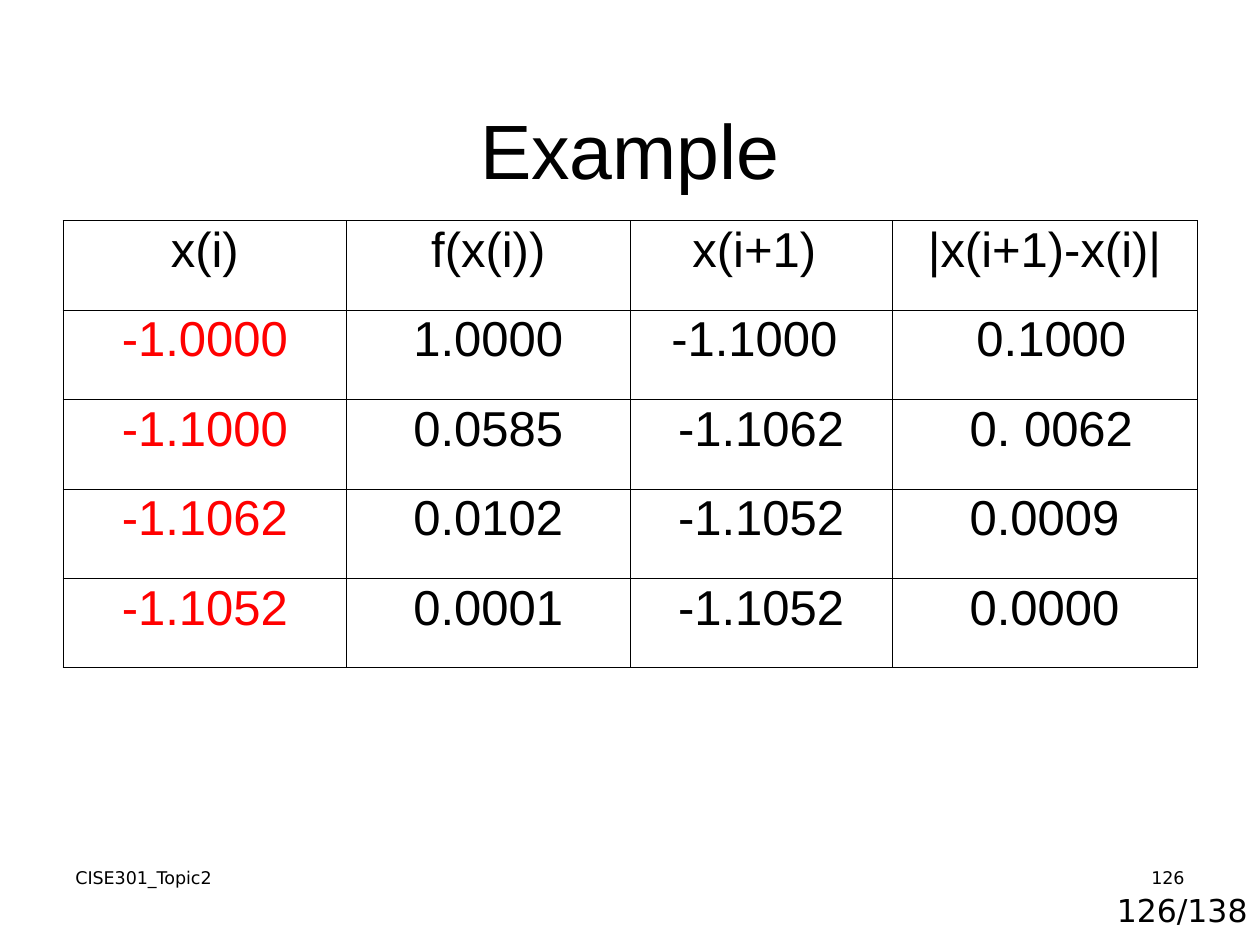
from dataclasses import dataclass

from lxml.etree import SubElement as Sub
from pptx import Presentation
from pptx.dml.color import RGBColor as Rgb
from pptx.enum.text import MSO_ANCHOR as Anchor, PP_ALIGN as Align
from pptx.oxml.ns import qn
from pptx.util import Inches, Pt


@dataclass(frozen=True)
class Theme:
    ink: str = "000000"
    mark: str = "FF0000"
    sans: str = "Arial"
    foot: str = "DejaVu Sans"
    title: float = 44
    cell: float = 28
    page: float = 18
    small: float = 10
    outer: float = 0.5
    inner: float = 0.23


@dataclass(frozen=True)
class Label:
    text: str
    box: tuple[float, float, float, float]
    size: float
    font: str
    align: Align = Align.LEFT
    anchor: Anchor = Anchor.TOP
    pad: tuple[float, float] = (0.1, 0.05)


THEME = Theme()
LABELS = (
    Label("126/138", (8.42, 7.02, 1.58, 0.74), THEME.page, THEME.foot, Align.RIGHT),
    Label("CISE301_Topic2", (0.5, 6.83, 2.33, 0.5), THEME.small, THEME.foot),
    Label("126", (7.17, 6.83, 2.33, 0.5), THEME.small, THEME.foot, Align.RIGHT),
    Label("Example", (0.5, 0.3, 9, 1.25), THEME.title, THEME.sans,
          Align.CENTER, Anchor.BOTTOM, (0, 0)),
)
WIDTHS = (2.25, 2.25, 2.08, 2.42)
HEIGHT = 0.71
ROWS = (
    ("x(i)", "f(x(i))", "x(i+1) ", "|x(i+1)-x(i)|"),
    ("-1.0000", "1.0000", "-1.1000 ", " 0.1000"),
    ("-1.1000", "0.0585", "-1.1062", " 0. 0062"),
    ("-1.1062", "0.0102", "-1.1052", "0.0009"),
    ("-1.1052", "0.0001", "-1.1052", "0.0000"),
)


def write(frame, text: str, *, size: float, font: str, color: str = THEME.ink,
          align: Align = Align.LEFT, line: float | None = None, before: float = 0) -> None:
    para = frame.paragraphs[0]
    para.alignment = align
    para.space_before = Pt(before)
    para.line_spacing = line
    run = para.add_run()
    run.text = text
    run.font.size = Pt(size)
    run.font.name = font
    run.font.color.rgb = Rgb.from_string(color)


def draw_label(slide, label: Label) -> None:
    frame = slide.shapes.add_textbox(*map(Inches, label.box)).text_frame
    frame.word_wrap = True
    frame.vertical_anchor = label.anchor
    frame.margin_left = frame.margin_right = Inches(label.pad[0])
    frame.margin_top = frame.margin_bottom = Inches(label.pad[1])
    write(frame, label.text, size=label.size, font=label.font, align=label.align)


def rule(cell, edges: dict[str, bool]) -> None:
    props = cell._tc.get_or_add_tcPr()
    for side, outer in edges.items():
        width = THEME.outer if outer else THEME.inner
        line = Sub(props, qn(f"a:ln{side}"), w=str(Pt(width)))
        Sub(Sub(line, qn("a:solidFill")), qn("a:srgbClr"), val=THEME.ink)


def draw_table(slide) -> None:
    last_row, last_col = len(ROWS) - 1, len(WIDTHS) - 1
    grid = slide.shapes.add_table(
        len(ROWS), len(WIDTHS), Inches(0.5), Inches(1.75),
        Inches(sum(WIDTHS)), Inches(HEIGHT * len(ROWS))).table
    grid.first_row = grid.horz_banding = False
    for col, width in zip(grid.columns, WIDTHS):
        col.width = Inches(width)
    for r, row in enumerate(ROWS):
        grid.rows[r].height = Inches(HEIGHT)
        for c, text in enumerate(row):
            cell = grid.cell(r, c)
            cell.margin_left = cell.margin_right = Inches(0.1)
            cell.margin_top = cell.margin_bottom = Inches(0.05)
            rule(cell, {"L": c == 0, "R": c == last_col, "T": r == 0, "B": r == last_row})
            cell.fill.background()
            write(cell.text_frame, text, size=THEME.cell, font=THEME.sans,
                  color=THEME.mark if r and not c else THEME.ink,
                  align=Align.CENTER, line=0.93, before=7)


def main() -> None:
    """Build the slide with the table of iterations."""
    deck = Presentation()
    deck.slide_width, deck.slide_height = Inches(10), Inches(7.5)
    slide = deck.slides.add_slide(deck.slide_layouts[6])
    for label in LABELS:
        draw_label(slide, label)
    draw_table(slide)
    deck.save("out.pptx")


if __name__ == "__main__":
    main()
